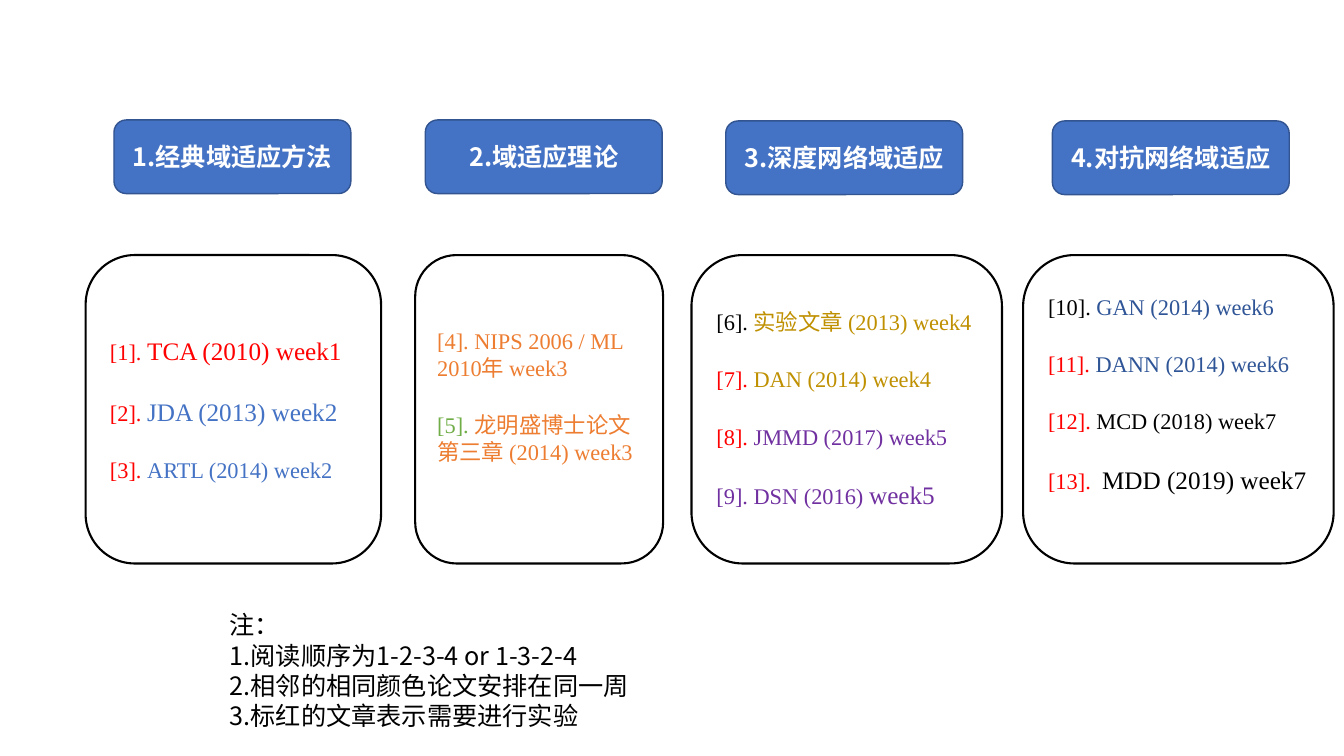
from pptx import Presentation
from pptx.dml.color import RGBColor
from pptx.enum.shapes import MSO_SHAPE
from pptx.enum.text import MSO_ANCHOR, PP_ALIGN
from pptx.util import Pt
from lxml import etree

SANS, SERIF = "Noto Sans CJK SC", "Times New Roman"
RED, BLUE, NAVY, ORANGE = "FF0000", "4472C4", "2F5597", "ED7D31"
GREEN, GOLD, PURPLE, BLACK, WHITE = "70AD47", "BF9000", "7030A0", "000000", "FFFFFF"
LINE_FACTOR, PAPER_GAP = 1.2, 21.6
HEADING_SIZE, CARD_TOP, CARD_HEIGHT = (169.2, 52.6), 182.2, 220.3

TOPICS = [
    dict(title="1.经典域适应方法", heading_at=(81.4, 85.7), left=61.2, width=211, below=0, papers=[
        [("[1]. ", 16, RED), ("TCA (2010) week1", 18, RED)],
        [("[2]. ", 16, RED), ("JDA (2013) week2", 18, BLUE)],
        [("[3]. ", 16, RED), ("ARTL (2014) week2", 16, BLUE)]]),
    dict(title="2.域适应理论", heading_at=(303.8, 85.7), left=296.6, width=177.1, below=19.2, papers=[
        [("[4]. NIPS 2006 / ML 2010年 week3", 16, ORANGE)],
        [("[5]. ", 16, GREEN), ("龙明盛博士论文第三章 (2014) week3", 16, ORANGE)]]),
    dict(title="3.深度网络域适应", heading_at=(518.4, 86.4), left=493.9, width=221.8, below=0, papers=[
        [("[6]. ", 16, BLACK), ("实验文章 (2013) week4 ", 16, GOLD)],
        [("[7]. ", 16, RED), ("DAN (2014) week4", 16, GOLD)],
        [("[8]. ", 16, RED), ("JMMD (2017) week5", 16, PURPLE)],
        [("[9]. DSN (2016) ", 16, PURPLE), ("week5", 18, PURPLE)]]),
    dict(title="4.对抗网络域适应", heading_at=(751.7, 86.4), left=730.8, width=221.8, below=21.6, papers=[
        [("[10]. ", 16, BLACK), ("GAN (2014) week6", 16, NAVY)],
        [("[11]. ", 16, RED), ("DANN (2014) week6", 16, NAVY)],
        [("[12]. ", 16, RED), ("MCD (2018) week7", 16, BLACK)],
        [("[13].  ", 16, RED), ("MDD (2019) week7", 18, BLACK)]]),
]
NOTES = ["注:".replace(":", "："), "1.阅读顺序为1-2-3-4 or 1-3-2-4",
         "2.相邻的相同颜色论文安排在同一周", "3.标红的文章表示需要进行实验"]


def rgb(value):
    return RGBColor.from_string(value)


def write(frame, paragraphs, font, align=PP_ALIGN.LEFT, bold=False, gap=0):
    frame.word_wrap = True
    for index, runs in enumerate(paragraphs):
        paragraph = frame.paragraphs[0] if index == 0 else frame.add_paragraph()
        paragraph.alignment = align
        paragraph.line_spacing = Pt(LINE_FACTOR * max(size for _, size, _ in runs))
        paragraph.space_before = Pt(gap if index else 0)
        for text, size, color in runs:
            run = paragraph.add_run()
            run.text = text
            run.font.name, run.font.size, run.font.bold = font, Pt(size), bold
            run.font.color.rgb = rgb(color)
            latin = run.font._element.find("{*}latin")
            east_asian = etree.Element(latin.tag.replace("latin", "ea"), typeface=SANS)
            latin.addnext(east_asian)


def rounded_box(box, line_color, line_width, fill=None):
    shape = slide.shapes.add_shape(MSO_SHAPE.ROUNDED_RECTANGLE, *map(Pt, box))
    shape.shadow.inherit = False
    if fill:
        shape.fill.solid()
        shape.fill.fore_color.rgb = rgb(fill)
    else:
        shape.fill.background()
    shape.line.color.rgb = rgb(line_color)
    shape.line.width = Pt(line_width)
    shape.text_frame.vertical_anchor = MSO_ANCHOR.MIDDLE
    return shape


prs = Presentation()
prs.slide_width, prs.slide_height = Pt(960), Pt(540)
slide = prs.slides.add_slide(prs.slide_layouts[6])

for topic in TOPICS:
    heading = rounded_box((*topic["heading_at"], *HEADING_SIZE), "325491", 1, BLUE)
    write(heading.text_frame, [[(topic["title"], 18, WHITE)]], SANS, PP_ALIGN.CENTER, True)

for topic in TOPICS:
    card = rounded_box((topic["left"], CARD_TOP, topic["width"], CARD_HEIGHT), BLACK, 1.5)
    card.text_frame.margin_bottom = Pt(3.6 + topic["below"])
    write(card.text_frame, topic["papers"], SERIF, gap=PAPER_GAP)

notes = slide.shapes.add_textbox(Pt(157), Pt(432), Pt(462.2), Pt(94.3))
write(notes.text_frame, [[(note, 18, BLACK)] for note in NOTES], SANS)

prs.save("out.pptx")
